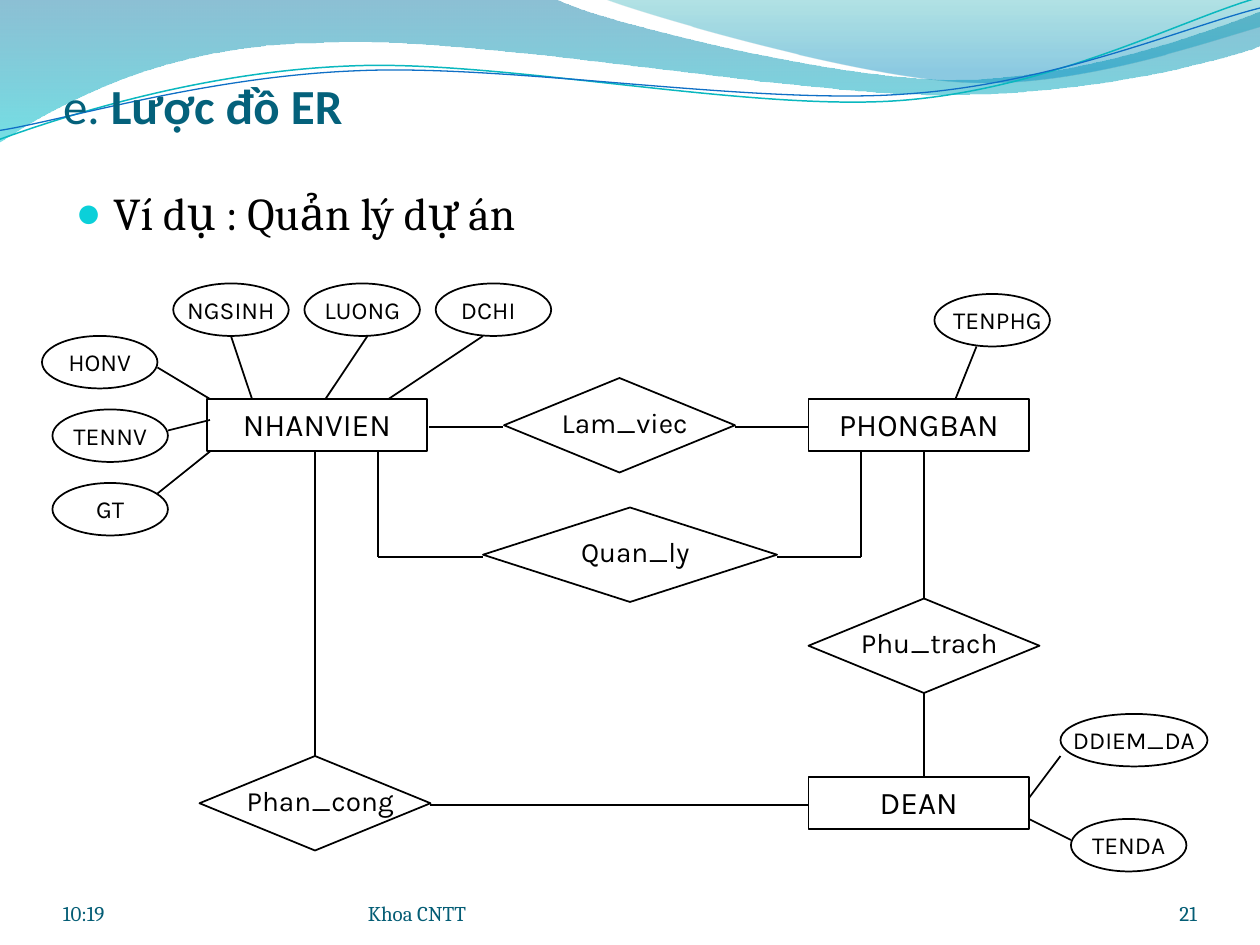
from lxml import etree
from pptx import Presentation
from pptx.dml.color import RGBColor
from pptx.enum.shapes import MSO_CONNECTOR, MSO_SHAPE
from pptx.enum.text import MSO_ANCHOR, MSO_AUTO_SIZE, PP_ALIGN
from pptx.oxml.ns import qn
from pptx.util import Inches, Pt

LEFT, CENTER, RIGHT = PP_ALIGN.LEFT, PP_ALIGN.CENTER, PP_ALIGN.RIGHT
TOP, BOTTOM = MSO_ANCHOR.TOP, MSO_ANCHOR.BOTTOM
NO_FIT = MSO_AUTO_SIZE.NONE
STRAIGHT = MSO_CONNECTOR.STRAIGHT
ENTITY, RELATION, ATTRIBUTE = MSO_SHAPE.RECTANGLE, MSO_SHAPE.FLOWCHART_DECISION, MSO_SHAPE.OVAL
CELL = Inches(1) / 12  # the diagram sits on a grid of 12 cells to the inch


def color(hex_text):
    return RGBColor.from_string(hex_text)


def write(shape, text, size, font, hex_text, align=LEFT, anchor=TOP):
    frame = shape.text_frame
    frame.text = text
    frame.auto_size = NO_FIT
    frame.vertical_anchor = anchor
    paragraph = frame.paragraphs[0]
    paragraph.alignment = align
    for run in paragraph.runs:
        run.font.size = Pt(size)
        run.font.name = font
        run.font.color.rgb = color(hex_text)
    return frame


presentation = Presentation()
presentation.slide_width, presentation.slide_height = Inches(10), Inches(7.5)
slide = presentation.slides.add_slide(presentation.slide_layouts[1])
shapes = slide.shapes

# Waves: start point, then cubic curves (6 numbers) or straight lines (2 numbers)
waves = [
    ([(0, -0.01), (4.4, -0.01), (4.76, 0.17, 6.64, 0.63, 7.58, 0.63),
      (8.53, 0.63, 9.58, 0.26, 10, 0.09), (10.01, 0.36), (9.83, 0.44, 8.7, 0.76, 7.46, 0.75),
      (6.22, 0.75, 3.82, 0.28, 2.57, 0.34), (1.29, 0.35, 0.46, 0.83, -0.01, 1.13)],
     [(0, "0074A1", 45), (1, "00C6CF", 55)], None, 0),
    ([(4.79, -0.01), (5.09, 0.11, 6.82, 0.62, 7.69, 0.65), (8.56, 0.69, 9.61, 0.32, 10, 0.21), (10, 0)],
     [(0, "00A1A9", 30), (0.8, "008BBF", 45)], None, 0),
    ([(-0.02, 0.87), (0.47, 0.72, 1.58, 0.41, 2.78, 0.42), (3.96, 0.42, 5.91, 0.93, 7.12, 0.9),
      (8.32, 0.87, 9.4, 0.36, 10, 0.22)],
     None, "0AB8BF", 0.85),
    ([(-0.02, 0.8), (0.46, 0.75, 1.64, 0.45, 2.83, 0.46), (4.03, 0.46, 5.96, 0.88, 7.16, 0.85),
      (8.35, 0.83, 9.42, 0.42, 10.02, 0.3)],
     None, "0F6FC6", 0.75),
]
for segments, stops, line_color, line_width in waves:
    points = [(Inches(segment[i]), Inches(segment[i + 1]))
              for segment in segments for i in range(0, len(segment), 2)]
    builder = shapes.build_freeform(*points[0])
    builder.add_line_segments(points[1:], close=stops is not None)
    wave = builder.convert_to_shape()
    wave.shadow.inherit = False
    # Join each three control points into one cubic curve
    steps = iter(list(wave._element.iter(qn("a:lnTo"))))
    for segment in segments[1:]:
        step = next(steps)
        if len(segment) == 6:
            curve = etree.Element(qn("a:cubicBezTo"))
            step.addprevious(curve)
            for control in (step, next(steps), next(steps)):
                curve.append(control[0])
                control.getparent().remove(control)
    if stops:
        wave.line.fill.background()
        wave.fill.gradient()
        wave.fill.gradient_angle = 270
        for stop, (position, hex_text, opacity) in zip(wave.fill.gradient_stops, stops):
            stop.position = position
            stop.color.rgb = color(hex_text)
        for element, (position, hex_text, opacity) in zip(wave._element.iter(qn("a:srgbClr")), stops):
            etree.SubElement(element, qn("a:alpha")).set("val", str(opacity * 1000))
    else:
        wave.rotation = 357.3
        wave.fill.background()
        wave.line.color.rgb = color(line_color)
        wave.line.width = Pt(line_width)

# Title and body, brought in front of the waves
title, body = shapes.title, slide.placeholders[1]
for placeholder in (body, title):
    shapes._spTree.append(placeholder._element)

title.left, title.top, title.width, title.height = Inches(0.5), Inches(0.39), Inches(9), Inches(0.68)
frame = write(title, "e. ", 28, "Calibri", "04617B", LEFT, BOTTOM)
frame.margin_left = frame.margin_right = frame.margin_bottom = 0
run = frame.paragraphs[0].add_run()
run.text = "Lược đồ ER"
run.font.size, run.font.name, run.font.bold = Pt(28), "Calibri", True
run.font.color.rgb = color("04617B")

body.left, body.top, body.width, body.height = Inches(0.5), Inches(1.42), Inches(9), Inches(5.58)
frame = write(body, "Ví dụ : Quản lý dự án", 26, "Cambria", "000000")
properties = frame.paragraphs[0]._p.get_or_add_pPr()
properties.set("marL", str(Inches(0.3)))
properties.set("indent", str(-Inches(0.3)))
bullet_color = etree.SubElement(properties, qn("a:buClr"))
etree.SubElement(bullet_color, qn("a:srgbClr")).set("val", "0BD0D9")
etree.SubElement(properties, qn("a:buSzPct")).set("val", "95000")
etree.SubElement(properties, qn("a:buFont")).set("typeface", "Arial")
etree.SubElement(properties, qn("a:buChar")).set("char", "●")

# Connecting lines in grid cells: x1, y1, x2, y2
links = [
    (40.85, 40.7, 47.9, 40.7), (70, 40.7, 77, 40.7),
    (36, 43, 36, 53.04), (82, 43, 82, 53.04), (36, 53.04, 46, 53.04), (74, 53.04, 82, 53.04),
    (30, 43, 30, 72), (41, 76.7, 77, 76.7),
    (88, 43, 88, 57), (88, 66, 88, 74),
    (20, 43, 15, 47), (20, 40, 16, 41), (20, 38, 15, 35),
    (24, 38, 22, 32), (31, 38, 35, 32), (37, 38, 46, 32),
    (93, 33, 91, 38), (98, 76, 101, 72), (98, 78, 102, 80),
]
for link in links:
    connector = shapes.add_connector(STRAIGHT, *(round(value * CELL) for value in link))
    connector.line.color.rgb = color("000000")
    connector.line.width = Pt(1)
    etree.SubElement(connector._element.spPr, qn("a:effectLst"))

# Nodes in grid cells: kind, text, left, top, width, label left, label width
nodes = [
    (ENTITY, "NHANVIEN", 19.68, 38, 21, 19.68, 21),
    (ENTITY, "PHONGBAN", 77, 38, 21, 77, 21),
    (ENTITY, "DEAN", 77, 74, 21, 77, 21),
    (RELATION, "Lam_viec", 48, 36, 22, 50, 19),
    (RELATION, "Quan_ly", 46, 48.33, 28, 48, 25),
    (RELATION, "Phan_cong", 19, 72, 22, 21, 19),
    (RELATION, "Phu_trach", 77, 57, 22, 79, 19),
    (ATTRIBUTE, "HONV", 4, 32, 11, 4, 11),
    (ATTRIBUTE, "TENNV", 5, 39, 11, 5, 11),
    (ATTRIBUTE, "GT", 5, 46, 11, 5.5, 10),
    (ATTRIBUTE, "NGSINH", 16.5, 27, 11, 16, 12),
    (ATTRIBUTE, "LUONG", 29, 27, 11, 29.5, 10),
    (ATTRIBUTE, "DCHI", 41.5, 27, 11, 41, 11),
    (ATTRIBUTE, "TENPHG", 89, 28, 11, 89, 12),
    (ATTRIBUTE, "DDIEM_DA", 101, 68, 14, 101, 14),
    (ATTRIBUTE, "TENDA", 102, 78, 11, 102, 11),
]
# Kind: height, label offset, label height, text size
styles = {ENTITY: (4.95, 0, 4.95, 18), RELATION: (9, 2, 4.4, 16), ATTRIBUTE: (5, 0.5, 4, 14)}
for kind, text, left, top, width, label_left, label_width in nodes:
    height, offset, label_height, size = styles[kind]
    node = shapes.add_shape(kind, *(round(value * CELL) for value in (left, top, width, height)))
    node.shadow.inherit = False
    node.fill.background()
    node.line.color.rgb = color("000000")
    node.line.width = Pt(1)
    label = node
    if kind != ENTITY:
        box = (label_left, top + offset, label_width, label_height)
        label = shapes.add_textbox(*(round(value * CELL) for value in box))
    write(label, text, size, "Karla", "000000", CENTER).word_wrap = False

# Footer
for text, left, width, align in [("10:19", 0.5, 2.33, LEFT), ("Khoa CNTT", 2.92, 3.67, LEFT),
                                 ("21", 8.67, 0.83, RIGHT)]:
    footer = shapes.add_textbox(Inches(left), Inches(6.95), Inches(width), Inches(0.4))
    frame = write(footer, text, 12, "Cambria", "045D75", align, BOTTOM)
    frame.word_wrap = True
    frame.margin_left = frame.margin_right = frame.margin_top = frame.margin_bottom = 0

presentation.save("out.pptx")
